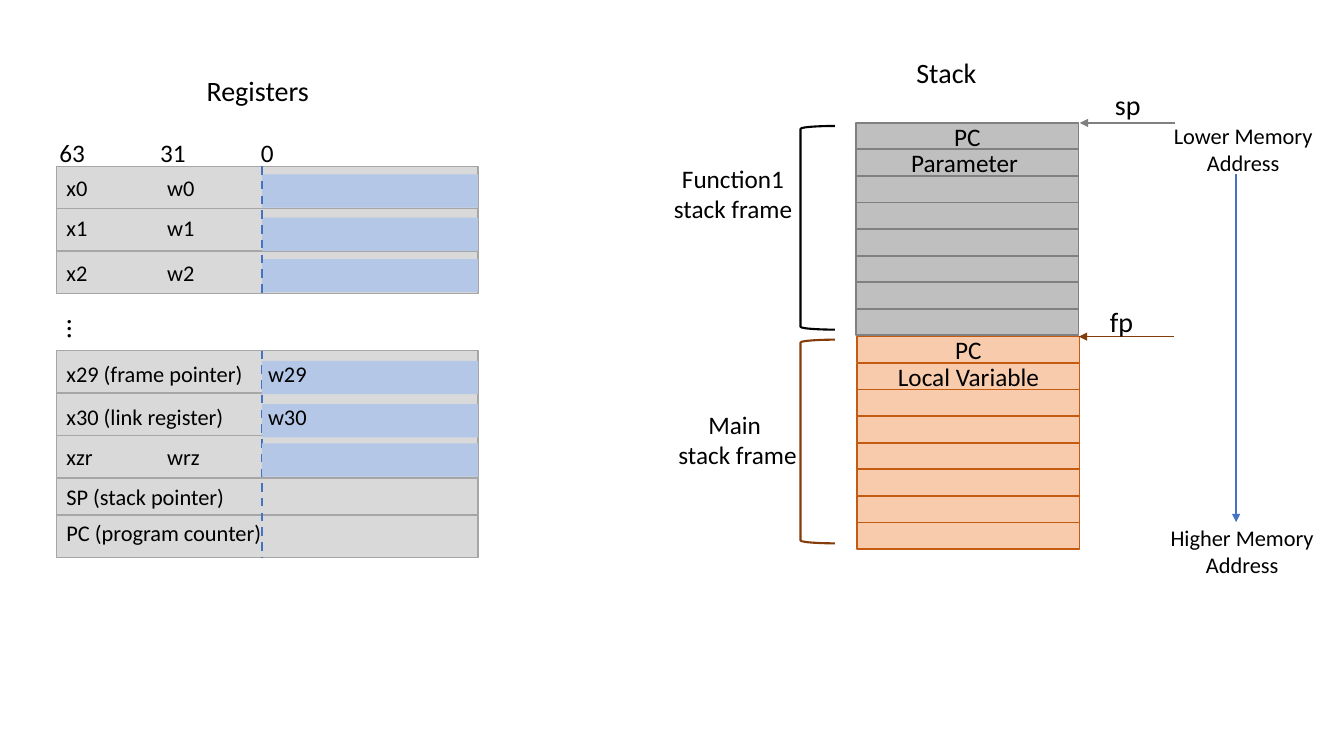
from lxml import etree
from pptx import Presentation
from pptx import util as u
from pptx.dml.color import RGBColor
from pptx.enum import dml, shapes, text
from pptx.oxml import ns

COLORS = {
    "black": "000000", "row": "D9D9D9", "row_edge": "A6A6A6", "half": "B4C7E7",
    "blue": "4472C4", "gray": "BFBFBF", "gray_edge": "808080",
    "orange": "F8CBAD", "orange_edge": "C55A11", "brown": "843C0B",
}


def rgb(name):
    return RGBColor.from_string(COLORS[name])


def write(tf, content, size=16, color="black", font="Calibri", align=None):
    for i, line in enumerate(content.split("\n")):
        p = tf.paragraphs[0] if i == 0 else tf.add_paragraph()
        p.alignment = align
        r = p.add_run()
        r.text = line
        r.font.size = u.Pt(size)
        r.font.name = font
        r.font.color.rgb = rgb(color)


class Diagram:
    center = text.PP_ALIGN.CENTER

    def __init__(self, slide):
        self.slide = slide

    def shape(self, x, y, w, h, fill=None, line=None, width=1,
              kind=shapes.MSO_SHAPE.RECTANGLE, label=""):
        s = self.slide.shapes.add_shape(kind, *map(u.Inches, (x, y, w, h)))
        s.shadow.inherit = False
        if fill:
            s.fill.solid()
            s.fill.fore_color.rgb = rgb(fill)
        else:
            s.fill.background()
        if line:
            s.line.color.rgb = rgb(line)
            s.line.width = u.Pt(width)
        else:
            s.line.fill.background()
        if label:
            s.text_frame.vertical_anchor = text.MSO_ANCHOR.MIDDLE
            write(s.text_frame, label, size=18, align=self.center)

    def text(self, x, y, w, h, content, vert=None, **style):
        s = self.slide.shapes.add_textbox(*map(u.Inches, (x, y, w, h)))
        tf = s.text_frame
        tf.word_wrap = True
        tf.auto_size = text.MSO_AUTO_SIZE.SHAPE_TO_FIT_TEXT
        if vert:
            s._element.txBody.find(ns.qn("a:bodyPr")).set("vert", vert)
        write(tf, content, **style)

    def line(self, x1, y1, x2, y2, color, width=1.5, dash=False, arrow=False):
        s = self.slide.shapes.add_connector(
            shapes.MSO_CONNECTOR.STRAIGHT, *map(u.Inches, (x1, y1, x2, y2)))
        s.line.color.rgb = rgb(color)
        s.line.width = u.Pt(width)
        if dash:
            s.line.dash_style = dml.MSO_LINE.DASH
        if arrow:
            etree.SubElement(s.line._get_or_add_ln(), ns.qn("a:tailEnd"), type="triangle")
        etree.SubElement(s._element.spPr, ns.qn("a:effectLst"))

    def bars(self, tops):
        for y in tops:
            self.shape(2.6, y, 2.14, 0.33, fill="half")

    def frame(self, x, y, labels, fill, edge, bracket):
        for i in range(8):
            label = labels[i] if i < len(labels) else ""
            self.shape(x, y + i * 2.11 / 8, 2.21, 0.26, fill, edge, label=label)
        self.shape(7.94, y + 0.03, 0.34, 2.02, line=bracket, width=1.5,
                   kind=shapes.MSO_SHAPE.LEFT_BRACKET)


prs = Presentation()
prs.slide_width, prs.slide_height = u.Inches(13.33), u.Inches(7.5)
d = Diagram(prs.slides.add_slide(prs.slide_layouts[6]))

registers = [
    (1.65, 1.68, "x0\t\tw0"),
    (2.07, 2.08, "x1\t\tw1"),
    (2.49, 2.52, "x2\t\tw2"),
    (3.48, 3.52, "x29 (frame pointer) \tw29"),
    (3.9, 3.95, "x30 (link register)\tw30"),
    (4.32, 4.35, "xzr\t\twrz"),
    (4.75, 4.74, "SP (stack pointer)"),
    (5.11, 5.1, "PC (program counter)"),
]
for row_y, _, _ in registers:
    d.shape(0.56, row_y, 4.18, 0.42, "row", "row_edge")
d.bars([1.73, 2.16, 2.57])
for top, bottom in [(1.65, 2.91), (3.48, 5.53)]:
    d.line(2.6, top, 2.6, bottom, "blue", dash=True)
d.bars([3.58, 4.01, 4.4])
for _, text_y, name in registers:
    d.text(0.56, text_y, 3.98, 0.37, name)
d.text(0.49, 1.31, 4.56, 0.4, "63\t\t31\t\t0", size=18)
d.text(0.46, 3.07, 0.54, 0.4, "…", vert="vert", size=20)

d.frame(8.49, 1.22, ["PC", "Parameter "], "gray", "gray_edge", "black")
d.frame(8.5, 3.34, ["PC", "Local Variable"], "orange", "orange_edge", "brown")
d.line(12.26, 1.73, 12.26, 5.18, "blue", arrow=True)
d.line(11.65, 1.22, 10.71, 1.22, "gray_edge", width=1, arrow=True)
d.line(11.64, 3.34, 10.7, 3.34, "brown", width=1, arrow=True)

for x, y, w, title in [(1.95, 0.68, 1.22, "Registers"), (8.99, 0.5, 1.22, "Stack"),
                       (10.96, 0.82, 0.53, "sp"), (10.91, 2.97, 0.53, "fp")]:
    d.text(x, y, w, 0.44, title, size=20)
for x, y, w, h, size, caption in [
    (6.43, 1.57, 1.68, 0.71, 18, "Function1 stack frame"),
    (6.6, 4.01, 1.43, 0.71, 18, "Main \nstack frame"),
    (11.49, 1.16, 1.68, 0.64, 16, "Lower Memory Address"),
    (11.48, 5.15, 1.68, 0.64, 16, "Higher Memory Address"),
]:
    d.text(x, y, w, h, caption, size=size, align=d.center)

prs.save("out.pptx")
